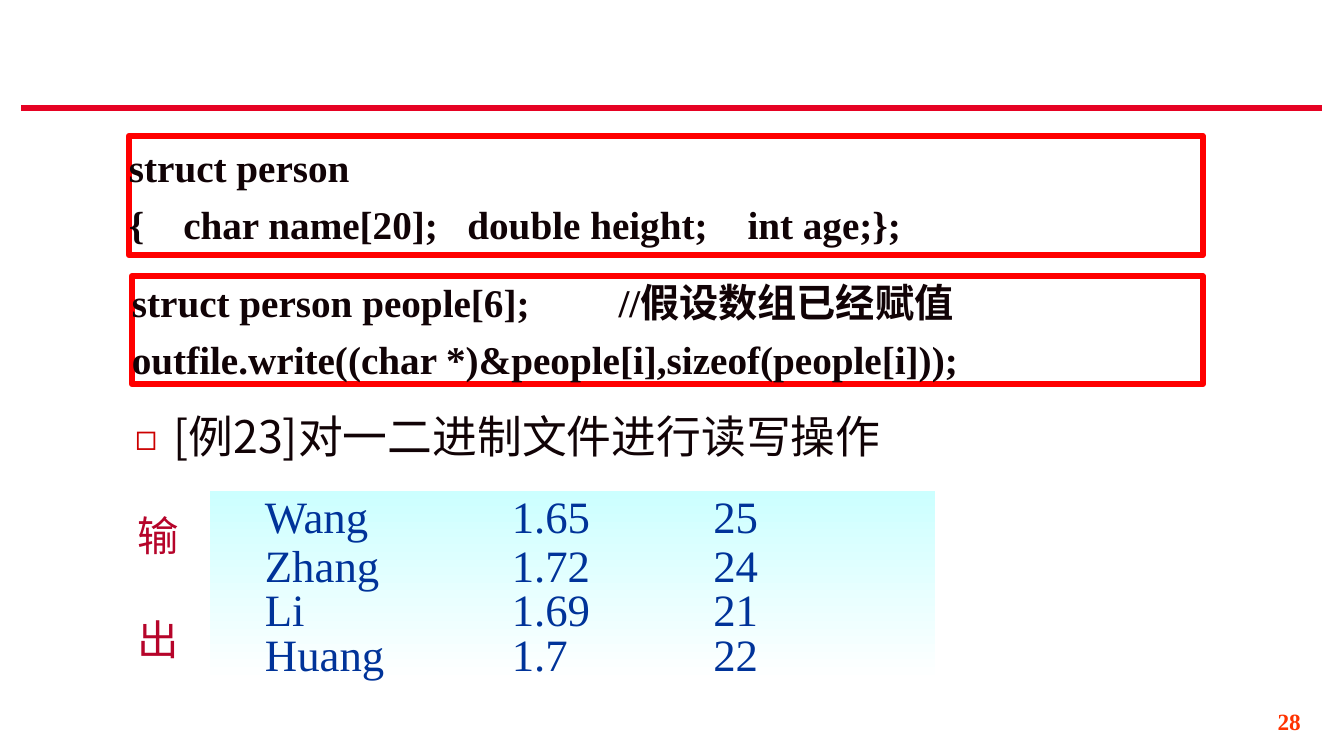
from lxml.etree import SubElement
from pptx import Presentation
from pptx.dml.color import RGBColor
from pptx.enum.shapes import MSO_CONNECTOR, MSO_SHAPE
from pptx.enum.text import MSO_ANCHOR, MSO_AUTO_SIZE, PP_ALIGN
from pptx.oxml.ns import qn
from pptx.util import Inches, Pt

CRIMSON = RGBColor(0xE6, 0x02, 0x23)
RED = RGBColor(0xFF, 0x00, 0x00)
INK = RGBColor(0x11, 0x03, 0x06)
ORANGE = RGBColor(0xFF, 0x33, 0x00)
DARK_RED = RGBColor(0xB6, 0x04, 0x2A)
BLUE = RGBColor(0x00, 0x33, 0x99)
PALE_CYAN = RGBColor(0xCC, 0xFF, 0xFF)
WHITE = RGBColor(0xFF, 0xFF, 0xFF)
BULLET_COLOR = "CC0000"

SERIF = "Times New Roman"
CJK = "Noto Sans CJK SC"

CODE_FORMAT = {"space_before": Pt(7), "alignment": PP_ALIGN.LEFT}
ROW_FORMAT = {"space_before": Pt(20), "alignment": PP_ALIGN.LEFT}

STRUCT_LINES = ["struct person", "{\tchar name[20];\tdouble height;\tint age;};"]
WRITE_LINES = [
    "struct person people[6];\t//假设数组已经赋值",
    "outfile.write((char *)&people[i],sizeof(people[i]));",
]
PEOPLE = [
    ("Wang", "1.65", "25"),
    ("Zhang", "1.72", "24"),
    ("Li", "1.69", "21"),
    ("Huang", "1.7", "22"),
]


def set_attributes(target, values):
    for name, value in values.items():
        setattr(target, name, value)


def prepare_frame(shape, anchor, left=0, top=0, right=0, bottom=0):
    set_attributes(shape.text_frame, {
        "word_wrap": True,
        "auto_size": MSO_AUTO_SIZE.NONE,
        "vertical_anchor": anchor,
        "margin_left": Inches(left),
        "margin_top": Inches(top),
        "margin_right": Inches(right),
        "margin_bottom": Inches(bottom),
    })


def add_tab_stops(paragraph, stops):
    tab_list = SubElement(paragraph._p.get_or_add_pPr(), qn("a:tabLst"))
    for stop in stops:
        SubElement(tab_list, qn("a:tab"), pos=str(Inches(stop)), algn="l")


def add_bullet(paragraph):
    properties = paragraph._p.get_or_add_pPr()
    properties.set("marL", str(Inches(0.38)))
    properties.set("indent", str(Inches(-0.38)))
    color = SubElement(properties, qn("a:buClr"))
    SubElement(color, qn("a:srgbClr"), val=BULLET_COLOR)
    SubElement(properties, qn("a:buSzPct"), val="80000")
    SubElement(properties, qn("a:buFont"), typeface=CJK)
    SubElement(properties, qn("a:buChar"), char="◻")


def write_lines(shape, lines, paragraph_format, size, color, font=SERIF, bold=False, tabs=()):
    frame = shape.text_frame
    for index, line in enumerate(lines):
        paragraph = frame.add_paragraph() if index else frame.paragraphs[0]
        set_attributes(paragraph, paragraph_format)
        if tabs:
            add_tab_stops(paragraph, tabs)
        run = paragraph.add_run()
        run.text = line
        set_attributes(run.font, {"name": font, "size": Pt(size), "bold": bold})
        run.font.color.rgb = color
        SubElement(run._r.get_or_add_rPr(), qn("a:ea"), typeface=CJK)
    return frame.paragraphs


def add_rectangle(slide, left, top, width, height):
    shape = slide.shapes.add_shape(
        MSO_SHAPE.RECTANGLE, Inches(left), Inches(top), Inches(width), Inches(height))
    shape.shadow.inherit = False
    return shape


def add_text_box(slide, left, top, width, height):
    return slide.shapes.add_textbox(
        Inches(left), Inches(top), Inches(width), Inches(height))


def add_header_rule(slide):
    rule = slide.shapes.add_connector(
        MSO_CONNECTOR.STRAIGHT, Inches(0.21), Inches(1.07), Inches(13.12), Inches(1.07))
    rule.line.color.rgb = CRIMSON
    rule.line.width = Pt(4.5)
    SubElement(rule._element.spPr, qn("a:effectLst"))


def add_code_box(slide, left, top, width, height, lines, tabs):
    box = add_rectangle(slide, left, top, width, height)
    box.fill.background()
    box.line.color.rgb = RED
    box.line.width = Pt(4.5)
    prepare_frame(box, MSO_ANCHOR.MIDDLE)
    write_lines(box, lines, CODE_FORMAT, 28, INK, bold=True, tabs=tabs)


def fill_example(body):
    set_attributes(body, {
        "left": Inches(1.34), "top": Inches(3.94),
        "width": Inches(8.36), "height": Inches(0.77),
    })
    prepare_frame(body, MSO_ANCHOR.MIDDLE)
    paragraphs = write_lines(
        body, ["[例23]对一二进制文件进行读写操作"], {"space_before": Pt(8)}, 32, INK, font=CJK)
    add_bullet(paragraphs[0])


def add_output_label(slide):
    label = add_text_box(slide, 1.32, 4.97, 0.5, 1.77)
    prepare_frame(label, MSO_ANCHOR.MIDDLE)
    label_format = {"alignment": PP_ALIGN.CENTER, "line_spacing": 0.9}
    paragraphs = write_lines(label, ["输", "出"], label_format, 29.6, DARK_RED, font="Arial")
    paragraphs[1].space_before = Pt(42)


def add_output_panel(slide):
    panel = add_rectangle(slide, 2.08, 4.87, 7.2, 1.9)
    panel.line.fill.background()
    panel.fill.gradient()
    panel.fill.gradient_angle = 270
    for stop, color in zip(panel.fill.gradient_stops, (PALE_CYAN, WHITE)):
        stop.color.rgb = color
    prepare_frame(panel, MSO_ANCHOR.MIDDLE, left=0.55, top=0.08, bottom=0.08)
    rows = ["\t".join(person) for person in PEOPLE]
    paragraphs = write_lines(panel, rows, ROW_FORMAT, 32, BLUE, tabs=(2.45, 4.45))
    for index, paragraph in enumerate(paragraphs):
        paragraph.line_spacing = 0.3 if index else 0.8


def add_page_number(slide):
    box = add_text_box(slide, 10.23, 7, 2.78, 0.4)
    prepare_frame(box, MSO_ANCHOR.TOP, 0.1, 0.05, 0.1, 0.05)
    number_format = {
        "alignment": PP_ALIGN.RIGHT, "line_spacing": 0.9, "space_before": Pt(11.2)}
    write_lines(box, ["28"], number_format, 16.6, ORANGE, bold=True)


def main():
    presentation = Presentation()
    presentation.slide_width = Inches(13.34)
    presentation.slide_height = Inches(7.5)
    slide = presentation.slides.add_slide(presentation.slide_layouts[1])
    title = slide.shapes.title
    title._element.getparent().remove(title._element)

    add_header_rule(slide)
    fill_example(slide.placeholders[1])
    add_page_number(slide)
    add_output_label(slide)
    add_output_panel(slide)
    add_code_box(slide, 1.28, 1.35, 10.66, 1.18, STRUCT_LINES, (0.54, 3.36, 6.14))
    add_code_box(slide, 1.31, 2.74, 10.63, 1.07, WRITE_LINES, (4.83,))
    presentation.save("out.pptx")


if __name__ == "__main__":
    main()
